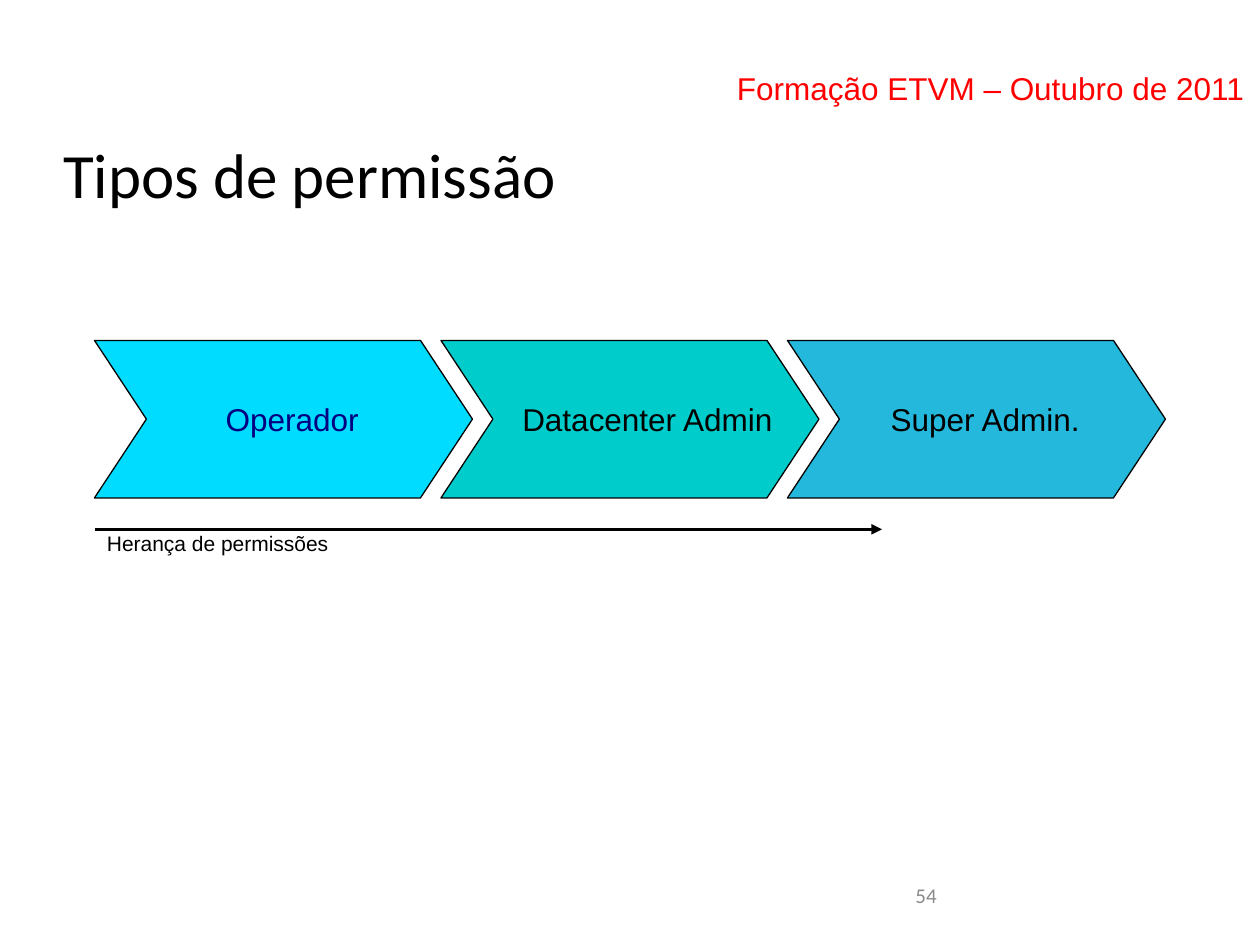
from dataclasses import dataclass

from lxml.etree import SubElement
from pptx import Presentation
from pptx.dml.color import RGBColor
from pptx.enum.shapes import MSO_CONNECTOR, MSO_SHAPE
from pptx.enum.text import MSO_ANCHOR, MSO_AUTO_SIZE, PP_ALIGN
from pptx.oxml.ns import qn
from pptx.util import Pt


@dataclass(frozen=True)
class Theme:
    heading: str = "Calibri"
    body: str = "Arial"
    black: str = "000000"
    red: str = "FF0000"
    navy: str = "000080"
    gray: str = "8B8B8B"
    cyan: str = "00DCFF"
    teal: str = "00CCCC"
    blue: str = "23B8DC"
    title: int = 36
    label: int = 18
    small: int = 12


class Deck:
    def __init__(self, theme, s):
        self.theme = theme
        self.s = s

    def run(self, p, text, font, size, color):
        r = p.add_run()
        r.text = text
        r.font.name = font
        r.font.size = Pt(size)
        r.font.color.rgb = RGBColor.from_string(color)

    def title(self, text, x, y, w, h):
        t = self.theme
        sp = self.s.shapes.title
        sp.left, sp.top, sp.width, sp.height = Pt(x), Pt(y), Pt(w), Pt(h)
        tf = sp.text_frame
        tf.auto_size = MSO_AUTO_SIZE.NONE
        tf.margin_left = tf.margin_right = tf.margin_top = tf.margin_bottom = 0
        tf.vertical_anchor = MSO_ANCHOR.MIDDLE
        p = tf.paragraphs[0]
        p.alignment = PP_ALIGN.LEFT
        self.run(p, text, t.heading, t.title, t.black)

    def text(self, text, x, y, w, h, font, size, color):
        sp = self.s.shapes.add_textbox(Pt(x), Pt(y), Pt(w), Pt(h))
        tf = sp.text_frame
        tf.word_wrap = True
        self.run(tf.paragraphs[0], text, font, size, color)

    def chevron(self, text, x, y, w, h, fill, color, indent):
        t = self.theme
        sp = self.s.shapes.add_shape(MSO_SHAPE.CHEVRON, Pt(x), Pt(y), Pt(w), Pt(h))
        sp.adjustments[0] = 0.33
        sp.shadow.inherit = False
        sp.fill.solid()
        sp.fill.fore_color.rgb = RGBColor.from_string(fill)
        sp.line.color.rgb = RGBColor.from_string(t.black)
        sp.line.width = Pt(0)
        tf = sp.text_frame
        tf.word_wrap = False
        tf.margin_left, tf.margin_right = Pt(indent), 0
        tf.vertical_anchor = MSO_ANCHOR.MIDDLE
        p = tf.paragraphs[0]
        p.alignment = PP_ALIGN.CENTER
        self.run(p, text, t.body, t.label, color)

    def arrow(self, x1, y1, x2, y2):
        c = self.s.shapes.add_connector(
            MSO_CONNECTOR.STRAIGHT, Pt(x1), Pt(y1), Pt(x2), Pt(y2))
        c.line.color.rgb = RGBColor.from_string(self.theme.black)
        c.line.width = Pt(0)
        spPr = c._element.spPr
        SubElement(spPr.find(qn("a:ln")), qn("a:tailEnd"), type="triangle")
        SubElement(spPr, qn("a:effectLst"))


def main():
    prs = Presentation()
    prs.slide_width, prs.slide_height = Pt(720), Pt(540)
    t = Theme()
    deck = Deck(t, prs.slides.add_slide(prs.slide_layouts[5]))

    deck.text("Formação ETVM – Outubro de 2011", 414, 36, 306, 27,
              t.body, t.label, t.red)
    deck.title("Tipos de permissão", 36, 54, 648, 90)

    left, step = 54, 198
    roles = [
        ("Operador", t.cyan, t.navy, 10),
        ("Datacenter Admin", t.teal, t.black, 20),
        ("Super Admin.", t.blue, t.black, 10),
    ]
    for i, (name, fill, color, indent) in enumerate(roles):
        deck.chevron(name, left + i * step, 194.5, 216, 90, fill, color, indent)

    deck.arrow(left, 302.5, 504, 302.5)
    deck.text("Herança de permissões", left, 299.5, 198, 21,
              t.body, t.small, t.black)
    deck.text("54", 516, 500.5, 168, 28.5, t.heading, t.small, t.gray)
    prs.save("out.pptx")


if __name__ == "__main__":
    main()
